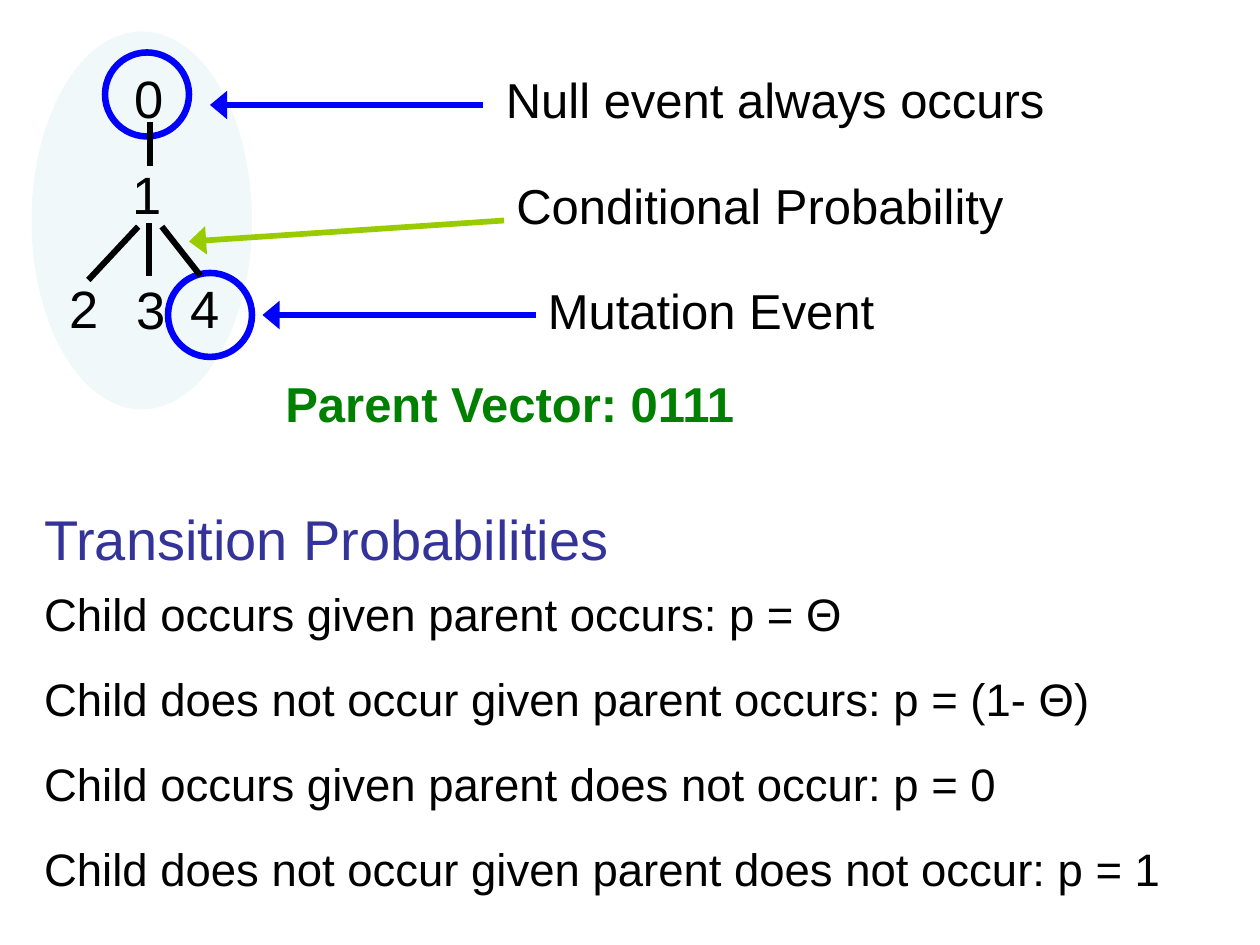
import pptx
import pptx.util
import pptx.dml.color
import pptx.enum.shapes
import pptx.enum.text
import pptx.oxml.ns
import lxml.etree

Pt = pptx.util.Pt
RGBColor = pptx.dml.color.RGBColor
qn = pptx.oxml.ns.qn

BLACK = RGBColor(0x00, 0x00, 0x00)
BLUE = RGBColor(0x00, 0x00, 0xFF)
LIME = RGBColor(0x99, 0xCC, 0x00)
GREEN = RGBColor(0x00, 0x80, 0x00)
INDIGO = RGBColor(0x33, 0x33, 0x99)
PALE_TEAL = RGBColor(0xBB, 0xE0, 0xE3)

deck = pptx.Presentation()
deck.slide_width, deck.slide_height = Pt(720), Pt(540)
slide = deck.slides.add_slide(deck.slide_layouts[1])


def write_text(holder, box, lines, size, color, bold=False, gap=0):
    holder.left, holder.top, holder.width, holder.height = map(Pt, box)
    frame = holder.text_frame
    frame.word_wrap = True
    frame.auto_size = pptx.enum.text.MSO_AUTO_SIZE.NONE
    frame.vertical_anchor = pptx.enum.text.MSO_ANCHOR.TOP
    for number, line in enumerate(lines):
        paragraph = frame.add_paragraph() if number else frame.paragraphs[0]
        properties = paragraph._p.get_or_add_pPr()
        properties.set("marL", "0")
        properties.set("indent", "0")
        lxml.etree.SubElement(properties, qn("a:buNone"))
        paragraph.alignment = pptx.enum.text.PP_ALIGN.LEFT
        paragraph.space_before = Pt(gap if number else 0)
        run = paragraph.add_run()
        run.text = line
        run.font.name = "Arial"
        run.font.size = Pt(size)
        run.font.bold = bold
        run.font.color.rgb = color


def draw_line(start, end, color, width, arrow=False):
    connector = slide.shapes.add_connector(
        pptx.enum.shapes.MSO_CONNECTOR.STRAIGHT, *map(Pt, start + end))
    connector.line.color.rgb = color
    connector.line.width = Pt(width)
    lxml.etree.SubElement(connector._element.spPr, qn("a:effectLst"))
    if arrow:
        lxml.etree.SubElement(connector.line._get_or_add_ln(), qn("a:tailEnd"),
                              type="triangle", w="lg", len="med")


write_text(slide.shapes.title, (18, 284.4, 492, 46),
           ["Transition Probabilities"], 32, INDIGO)
write_text(slide.placeholders[1], (18, 331.2, 684, 181), [
    "Child occurs given parent occurs: p = Θ",
    "Child does not occur given parent occurs: p = (1- Θ)",
    "Child occurs given parent does not occur: p = 0",
    "Child does not occur given parent does not occur: p = 1",
], 26, BLACK, gap=17.5)

tree_area = slide.shapes.add_shape(
    pptx.enum.shapes.MSO_SHAPE.OVAL, Pt(18), Pt(18), Pt(126), Pt(216))
tree_area.shadow.inherit = False
tree_area.line.fill.background()
tree_area.fill.solid()
tree_area.fill.fore_color.rgb = PALE_TEAL
tint = tree_area._element.spPr.find(qn("a:solidFill"))[0]
lxml.etree.SubElement(tint, qn("a:alpha"), val="20000")

for left, top in [(60, 30), (96, 156)]:
    event_ring = slide.shapes.add_shape(
        pptx.enum.shapes.MSO_SHAPE.OVAL, Pt(left), Pt(top), Pt(48), Pt(48))
    event_ring.shadow.inherit = False
    event_ring.fill.background()
    event_ring.line.color.rgb = BLUE
    event_ring.line.width = Pt(3.75)

callouts = [
    ("Null event always occurs", 282, 36, (276, 60), (120, 60), BLUE),
    ("Mutation Event", 306, 157, (306, 180), (150, 180), BLUE),
    ("Conditional Probability", 288, 97, (288, 126), (108, 138), LIME),
]
for label, left, top, start, end, color in callouts:
    draw_line(start, end, color, 3.25, arrow=True)
    write_text(slide.shapes.add_textbox(0, 0, 0, 0), (left, top, 384, 41),
               [label], 28, BLACK)

branches = [
    ((85.5, 70), (85.5, 95)),
    ((92.5, 129.5), (114.5, 157.5)),
    ((79, 129.5), (50.5, 160)),
    ((85, 127.5), (85, 157.5)),
]
for start, end in branches:
    draw_line(start, end, BLACK, 3.5)

nodes = [("0", 69.8, 34), ("1", 68.6, 89.3), ("2", 32.4, 154),
         ("3", 70.8, 155), ("4", 102, 154)]
for digit, left, top in nodes:
    write_text(slide.shapes.add_textbox(0, 0, 0, 0), (left, top, 36, 43),
               [digit], 30, BLACK)

write_text(slide.shapes.add_textbox(0, 0, 0, 0), (156, 210, 480, 41),
           ["Parent Vector: 0111"], 28, GREEN, bold=True)

deck.save("out.pptx")
